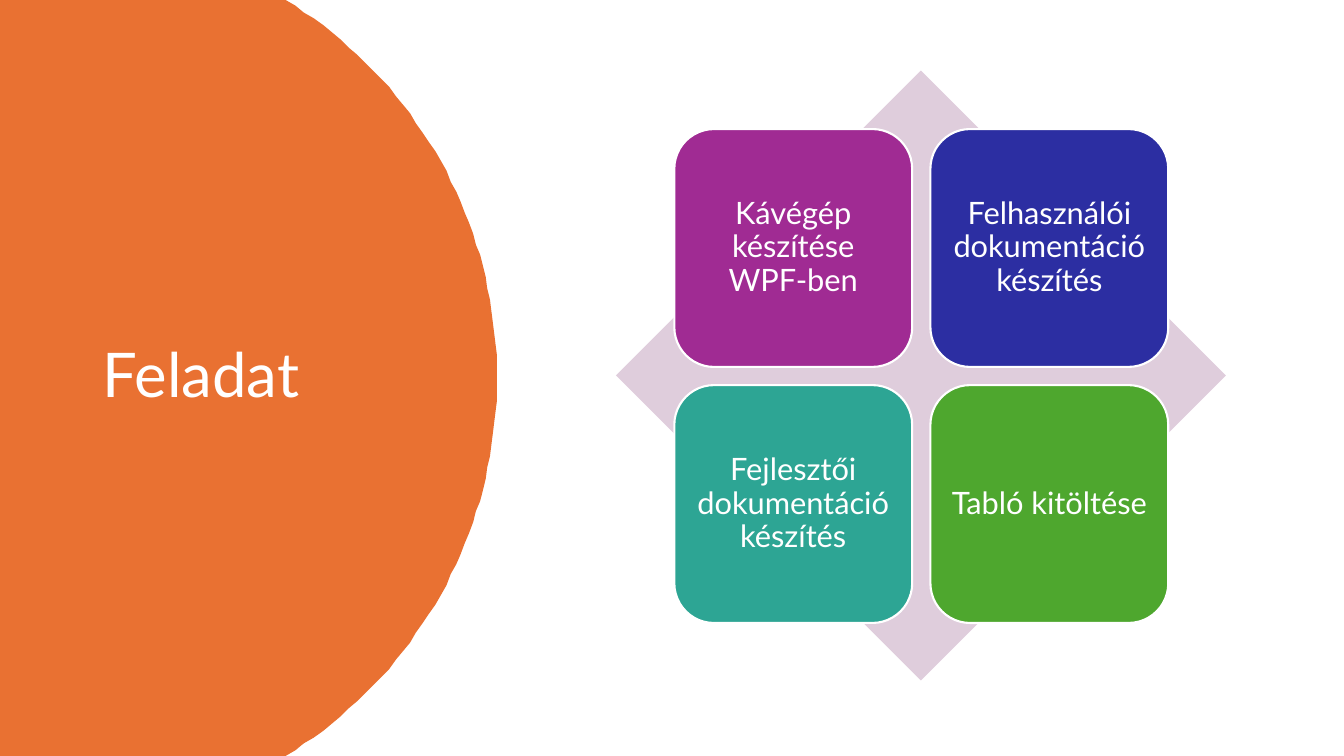
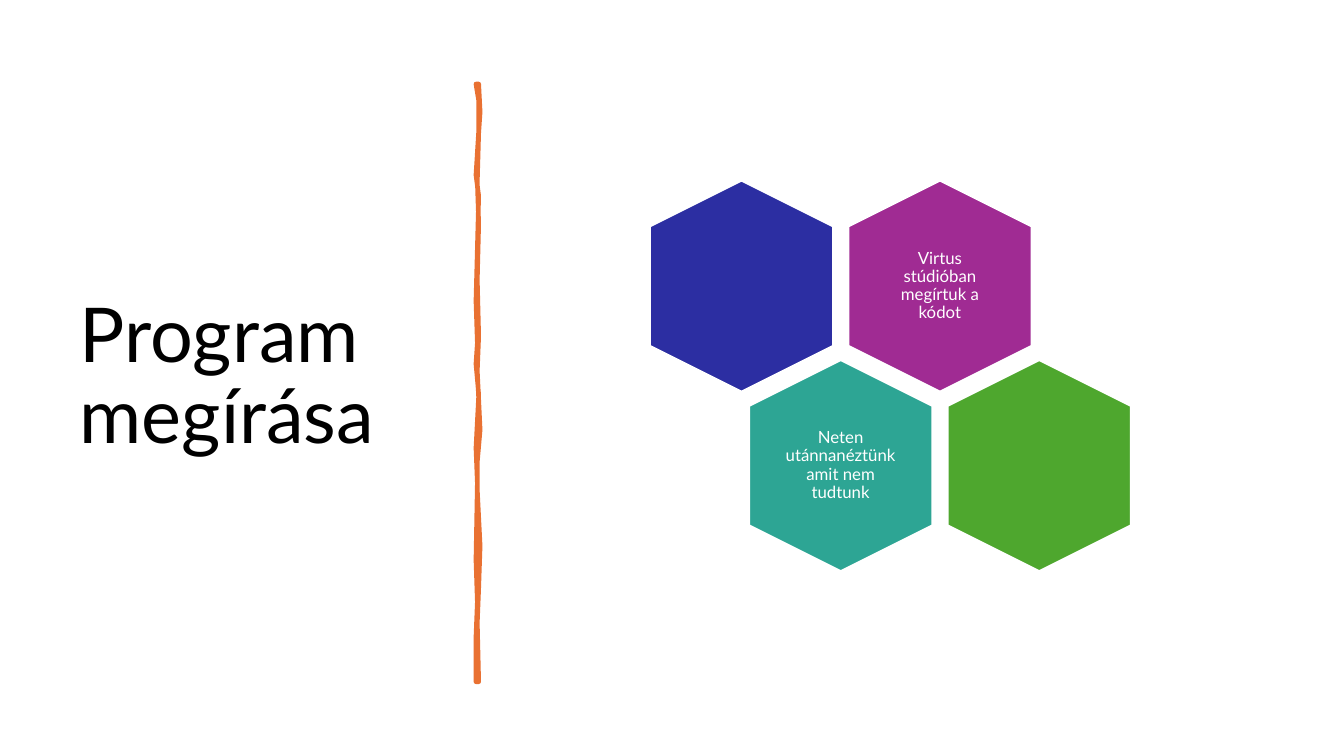
import math

from lxml import etree
from pptx import Presentation
from pptx.dml.color import RGBColor
from pptx.enum import shapes, text
from pptx.oxml.ns import qn
from pptx.util import Pt

COLOURS = {
    "white": "FFFFFF", "black": "000000", "orange": "E97132", "mauve": "DFCDDC",
    "purple": "A02B93", "blue": "2C2EA2", "teal": "2DA594", "green": "4EA72E",
}
FONT = "Lato"
WIDTH, HEIGHT = 960, 540


def write(box, words, size, colour, align, inset_x, inset_y):
    """Put one formatted paragraph into a shape, vertically centred."""
    frame = box.text_frame
    frame_format = {
        "word_wrap": True, "auto_size": text.MSO_AUTO_SIZE.NONE,
        "vertical_anchor": text.MSO_ANCHOR.MIDDLE,
        "margin_left": Pt(inset_x), "margin_right": Pt(inset_x),
        "margin_top": Pt(inset_y), "margin_bottom": Pt(inset_y),
    }
    for name, value in frame_format.items():
        setattr(frame, name, value)
    para = frame.paragraphs[0]
    para.alignment, para.line_spacing = align, 0.9
    span = para.add_run()
    span.text = words
    for name, value in {"name": FONT, "size": Pt(size)}.items():
        setattr(span.font, name, value)
    span.font.color.rgb = RGBColor.from_string(COLOURS[colour])


def paint(shape, fill, line=None, width=1.5):
    """Give a shape a flat fill and an optional outline."""
    shape.shadow.inherit = False
    shape.fill.solid()
    shape.fill.fore_color.rgb = RGBColor.from_string(COLOURS[fill])
    if line:
        shape.line.color.rgb = RGBColor.from_string(COLOURS[line])
        shape.line.width = Pt(width)
    else:
        shape.line.fill.background()


deck = Presentation()
deck.slide_width, deck.slide_height = Pt(WIDTH), Pt(HEIGHT)

# Titles shared by both slides: words, left, top, width, height, size, colour
titles = [
    ("Feladat", 66, 50.4, 232.6, 438.5, 44, "white"),
    ("Program megírása", 49.7, 50.4, 269.3, 439.9, 54, "black"),
]
pages = []
for words, left, top, width, height, size, colour in titles:
    page = deck.slides.add_slide(deck.slide_layouts[5])
    title = page.shapes.title
    place = {"left": left, "top": top, "width": width, "height": height}
    for name, value in place.items():
        setattr(title, name, Pt(value))
    write(title, words, size, colour, text.PP_ALIGN.LEFT, 7.2, 3.6)
    pages.append(page)
task_page, program_page = pages

# Slide 1: orange disc cut off by the slide edges, behind the title
radius, centre_x, steps = 316.8, 38.2, 80
reach = math.asin(HEIGHT / 2 / radius)
angles = [reach * (2 * step / steps - 1) for step in range(steps + 1)]
arc = [(centre_x + radius * math.cos(angle), HEIGHT / 2 + radius * math.sin(angle))
       for angle in angles]
builder = task_page.shapes.build_freeform(0, 0, scale=Pt(1))
builder.add_line_segments(arc + [(0, HEIGHT)], close=True)
disc = builder.convert_to_shape()
paint(disc, "orange")
task_page.shapes.title._element.addprevious(disc._element)

# Slide 1: diamond with a two by two grid of tasks
diamond = task_page.shapes.add_shape(
    shapes.MSO_SHAPE.DIAMOND, Pt(440), Pt(50.4), Pt(435.6), Pt(435.6))
paint(diamond, "mauve")
tasks = [
    ("Kávégép készítése WPF-ben", "purple"),
    ("Felhasználói dokumentáció készítés", "blue"),
    ("Fejlesztői dokumentáció készítés", "teal"),
    ("Tabló kitöltése", "green"),
]
tile_size, tile_pitch = 169.9, 182.9
for index, (words, colour) in enumerate(tasks):
    row, column = divmod(index, 2)
    tile = task_page.shapes.add_shape(
        shapes.MSO_SHAPE.ROUNDED_RECTANGLE,
        Pt(481.7 + column * tile_pitch), Pt(92.2 + row * tile_pitch),
        Pt(tile_size), Pt(tile_size))
    paint(tile, colour, "white")
    write(tile, words, 22, "white", text.PP_ALIGN.CENTER, 6.5, 6.5)

# Slide 2: hand-drawn divider, right edge downwards and left edge upwards
right_edge = [(342, 60.5), (342.7, 80), (342.5, 95), (341.3, 130), (342, 160),
              (341.3, 200), (342, 240), (341.3, 265), (342.6, 307), (340.6, 330),
              (341.3, 350), (342.8, 390), (342, 420), (341.3, 445), (342, 486.7)]
left_edge = [(340.3, 486.7), (340.2, 455), (341, 430), (340.2, 400), (341, 345),
             (340.2, 320), (341.5, 282), (340.2, 260), (341, 245), (340.2, 215),
             (341.5, 140), (340.2, 125), (341.5, 93), (341.5, 72), (340.3, 60.5)]
builder = program_page.shapes.build_freeform(*right_edge[0], scale=Pt(1) / 1)
builder.add_line_segments(right_edge[1:] + left_edge, close=True)
divider = builder.convert_to_shape()
paint(divider, "orange", "orange", 3.25)
etree.SubElement(divider.line._get_or_add_ln(), qn("a:round"))

# Slide 2: honeycomb, the second row shifted by half a cell
cells = [
    ("", "blue"),
    ("Virtus stúdióban megírtuk a kódot", "purple"),
    ("Neten utánnanéztünk amit nem tudtunk", "teal"),
    ("", "green"),
]
cell_long, cell_short = 150.9, 131
pitch_x, pitch_y = 141.8, 128.2
label_width, label_height = 90.7, 103.7
for index, (words, colour) in enumerate(cells):
    row, column = divmod(index, 2)
    middle_x = 529.6 + (column + row / 2) * pitch_x
    middle_y = 204.4 + row * pitch_y
    cell = program_page.shapes.add_shape(
        shapes.MSO_SHAPE.HEXAGON,
        Pt(middle_x - cell_long / 2), Pt(middle_y - cell_short / 2),
        Pt(cell_long), Pt(cell_short))
    cell.rotation = 90
    cell.adjustments[0] = 0.25
    paint(cell, colour, "white")
    if words:
        label = program_page.shapes.add_textbox(
            Pt(middle_x - label_width / 2), Pt(middle_y - label_height / 2),
            Pt(label_width), Pt(label_height))
        write(label, words, 12, "white", text.PP_ALIGN.CENTER, 3.6, 3.6)

deck.save("out.pptx")
